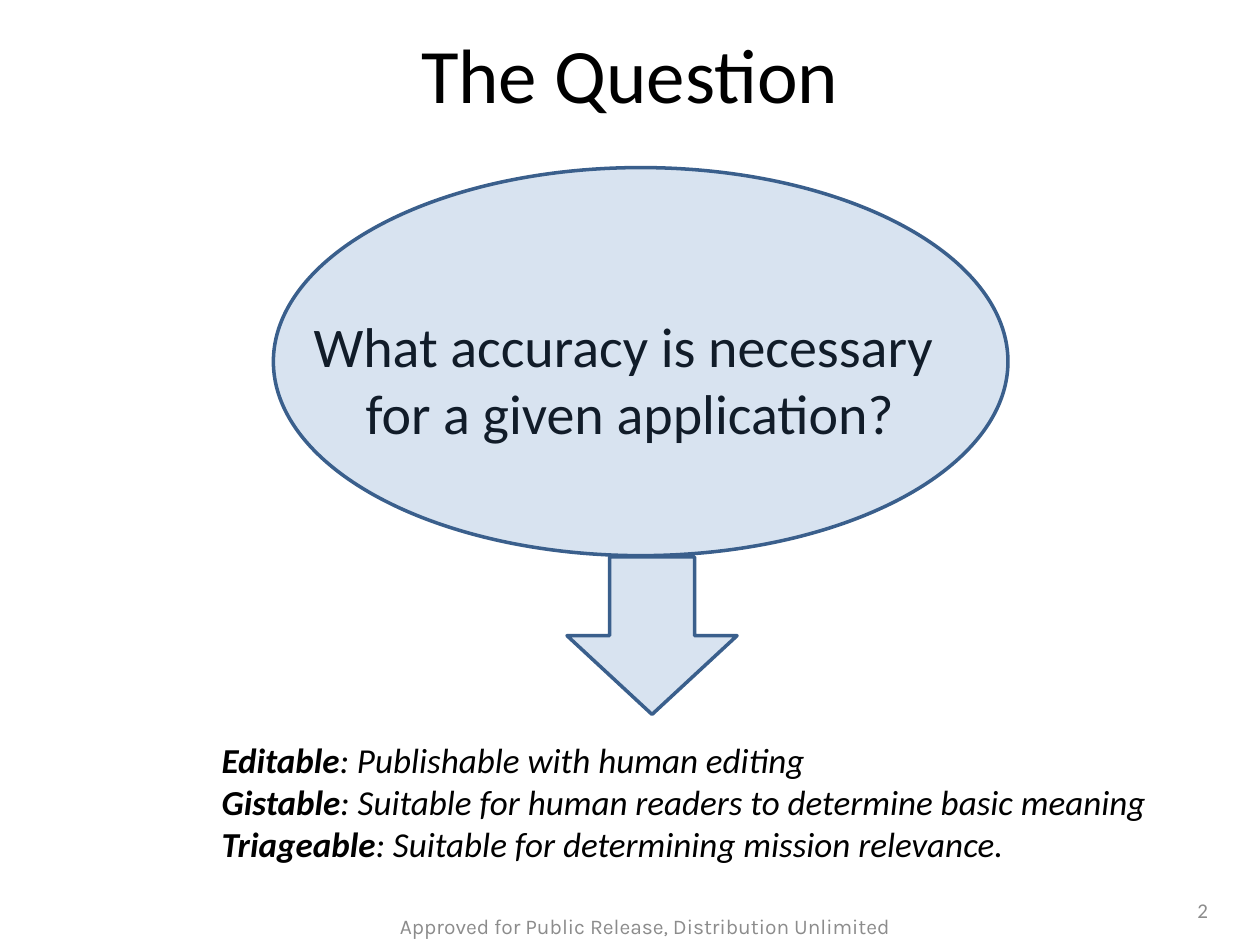
from typing import NamedTuple

from lxml.etree import SubElement
from pptx import Presentation
from pptx.dml.color import RGBColor
from pptx.enum.shapes import MSO_SHAPE
from pptx.enum.text import MSO_ANCHOR, PP_ALIGN
from pptx.oxml.ns import qn
from pptx.util import Inches, Pt

BLACK, GRAY = "000000", "8C8C8C"
BLUE, DARK_BLUE = "4F81BD", "3A5F8C"


class Box(NamedTuple):
    """A place on the slide in inches."""
    left: float
    top: float
    width: float
    height: float

    def emu(self):
        """Return the four lengths as slide units."""
        return [Inches(length) for length in self]


class Label(NamedTuple):
    """A centred piece of text and its look."""
    text: str
    box: Box
    size: int
    color: str
    font: str = "Calibri"
    anchor: MSO_ANCHOR = MSO_ANCHOR.MIDDLE


class Level(NamedTuple):
    """A level of accuracy and what it is good for."""
    name: str
    meaning: str


TITLE = Label("The Question", Box(0.5, 0.08, 9, 1), 44, BLACK)
LABELS = [
    Label("What accuracy is necessary \vfor a given application?",
          Box(0.5, 2.42, 9, 1.25), 32, BLACK, anchor=MSO_ANCHOR.TOP),
    Label("2", Box(9.13, 7.02, 0.83, 0.4), 12, GRAY),
    Label("Approved for Public Release, Distribution Unlimited",
          Box(1.58, 7.15, 7.08, 0.4), 12, GRAY, "Karla"),
]
OUTLINES = [
    (MSO_SHAPE.OVAL, Box(2.17, 1.33, 5.83, 3.08)),
    (MSO_SHAPE.DOWN_ARROW, Box(4.5, 4.42, 1.35, 1.25)),
]
LEVELS = [
    Level("Editable", "Publishable with human editing"),
    Level("Gistable", "Suitable for human readers to determine basic meaning"),
    Level("Triageable", "Suitable for determining mission relevance."),
]
LEVELS_BOX = Box(1.66, 5.81, 7.59, 1.11)


def rgb(color: str) -> RGBColor:
    """Turn a hex string into a colour."""
    return RGBColor.from_string(color)


def style(run, size: int, color: str, font: str = "Calibri") -> None:
    """Set the font of a run."""
    run.font.size = Pt(size)
    run.font.name = font
    run.font.color.rgb = rgb(color)


def write_label(holder, label: Label) -> None:
    """Place a text holder and fill it with a label."""
    holder.left, holder.top, holder.width, holder.height = label.box.emu()
    frame = holder.text_frame
    frame.word_wrap = True
    frame.vertical_anchor = label.anchor
    paragraph = frame.paragraphs[0]
    paragraph.text = label.text
    paragraph.alignment = PP_ALIGN.CENTER
    for run in paragraph.runs:
        style(run, label.size, label.color, label.font)


def add_outline(slide, kind: MSO_SHAPE, box: Box, opacity: int = 22) -> None:
    """Draw a translucent blue shape."""
    shape = slide.shapes.add_shape(kind, *box.emu())
    shape.shadow.inherit = False
    shape.fill.solid()
    shape.fill.fore_color.rgb = rgb(BLUE)
    tint = shape.fill._xPr.find(qn("a:solidFill"))[0]
    SubElement(tint, qn("a:alpha"), val=str(opacity * 1000))
    shape.line.color.rgb = rgb(DARK_BLUE)
    shape.line.width = Pt(2)


def add_levels(slide, levels: list[Level], box: Box) -> None:
    """List the levels, each name in bold."""
    frame = slide.shapes.add_textbox(*box.emu()).text_frame
    frame.word_wrap = False
    for index, level in enumerate(levels):
        paragraph = frame.add_paragraph() if index else frame.paragraphs[0]
        for text, bold in ((level.name, True), (f": {level.meaning}", False)):
            run = paragraph.add_run()
            run.text = text
            style(run, 20, BLACK)
            run.font.bold = bold
            run.font.italic = True


def build() -> None:
    """Build the slide and save it."""
    deck = Presentation()
    deck.slide_width, deck.slide_height = Inches(10), Inches(7.5)
    slide = deck.slides.add_slide(deck.slide_layouts[5])
    write_label(slide.shapes.title, TITLE)
    question, *footers = LABELS
    write_label(slide.shapes.add_textbox(*question.box.emu()), question)
    for kind, box in OUTLINES:
        add_outline(slide, kind, box)
    add_levels(slide, LEVELS, LEVELS_BOX)
    for footer in footers:
        write_label(slide.shapes.add_textbox(*footer.box.emu()), footer)
    deck.save("out.pptx")


build()
